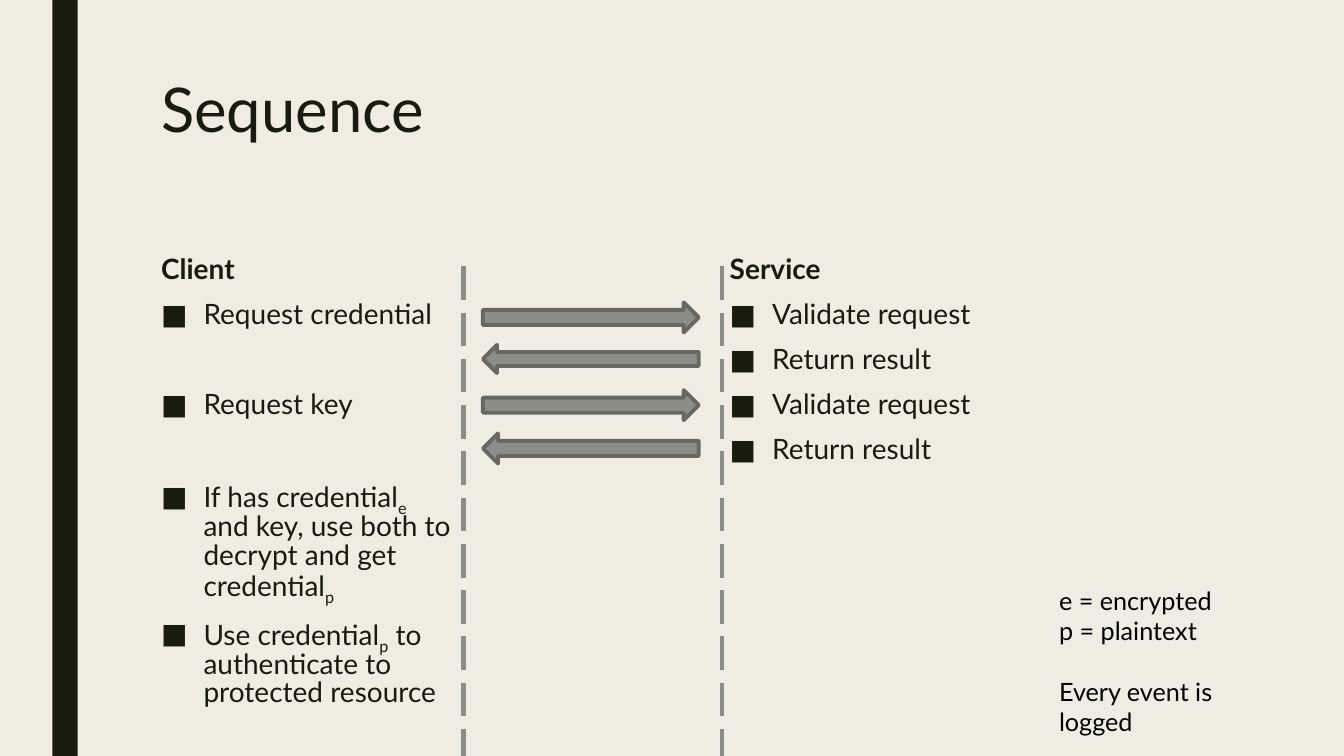
from dataclasses import dataclass

from lxml import etree
from pptx import Presentation
from pptx.dml.color import RGBColor
from pptx.enum.dml import MSO_LINE
from pptx.enum.shapes import MSO_CONNECTOR, MSO_SHAPE
from pptx.oxml.ns import qn
from pptx.util import Cm, Pt

RECTANGLE = MSO_SHAPE.RECTANGLE
RIGHT_ARROW = MSO_SHAPE.RIGHT_ARROW
STRAIGHT = MSO_CONNECTOR.STRAIGHT
LONG_DASH = MSO_LINE.LONG_DASH

BACKGROUND = RGBColor(0xEF, 0xED, 0xE3)
INK = RGBColor(0x19, 0x1B, 0x0E)
BLACK = RGBColor(0, 0, 0)
GREY = RGBColor(0x8C, 0x8D, 0x86)
DARK_GREY = RGBColor(0x68, 0x68, 0x63)

FONT = "Lato"
SLIDE_WIDTH, SLIDE_HEIGHT = 33.87, 19.05
STEP_BEFORE, STEP_AFTER = 10, 2
SKIPPED_STEP = 32.2  # height of one step row in points


@dataclass
class Run:
    text: str
    subscript: bool = False


@dataclass
class Line:
    runs: list[Run]
    size: float = 20
    color: RGBColor = INK
    bold: bool = False
    bullet: bool = False
    spacing: float = 0.84
    before: float = STEP_BEFORE
    after: float = STEP_AFTER


@dataclass
class TextBlock:
    left: float
    top: float
    width: float
    height: float
    lines: list[Line]


@dataclass
class Message:
    top: float
    height: float
    to_client: bool


def heading(text: str) -> Line:
    return Line([Run(text)], bold=True)


def step(*runs: Run, skipped: int = 0) -> Line:
    """A bulleted step, placed after a number of skipped rows."""
    return Line(list(runs), bullet=True, before=STEP_BEFORE + skipped * SKIPPED_STEP)


def note(text: str, before: float = 0) -> Line:
    return Line([Run(text)], size=18, color=BLACK, spacing=1, before=before, after=0)


TITLE = TextBlock(3.81, 1.9, 26.67, 4.11, [
    Line([Run("Sequence")], size=44, spacing=0.89, before=0, after=0),
])
CLIENT = TextBlock(3.81, 6.35, 7.87, 12.12, [
    heading("Client"),
    step(Run("Request credential")),
    step(Run("Request key"), skipped=1),
    step(Run("If has credential"), Run("e", True),
         Run(" and key, use both to decrypt and get credential"), Run("p", True),
         skipped=1),
    step(Run("Use credential"), Run("p", True),
         Run(" to authenticate to protected resource")),
])
SERVICE = TextBlock(18.14, 6.35, 12.34, 9.96, [
    heading("Service"),
    *[step(Run(text)) for text in ("Validate request", "Return result") * 2],
])
LEGEND = TextBlock(26.44, 14.63, 6.17, 3.33, [
    note("e = encrypted"),
    note("p = plaintext"),
    note("Every event is logged", before=21.6),
])
MESSAGES = [
    Message(7.62, 0.76, False),
    Message(8.69, 0.71, True),
    Message(9.83, 0.76, False),
    Message(10.92, 0.76, True),
]
LIFELINES = (11.68, 18.19)


def add_bullet(paragraph) -> None:
    properties = paragraph._p.get_or_add_pPr()
    properties.set("marL", str(Cm(1.07)))
    properties.set("indent", str(-Cm(1.07)))
    etree.SubElement(properties, qn("a:buFont")).set("typeface", FONT)
    etree.SubElement(properties, qn("a:buChar")).set("char", "■")


def add_text(slide, block: TextBlock) -> None:
    box = slide.shapes.add_textbox(
        Cm(block.left), Cm(block.top), Cm(block.width), Cm(block.height))
    frame = box.text_frame
    frame.word_wrap = True
    for index, line in enumerate(block.lines):
        paragraph = frame.add_paragraph() if index else frame.paragraphs[0]
        paragraph.line_spacing = line.spacing
        paragraph.space_before = Pt(line.before)
        paragraph.space_after = Pt(line.after)
        if line.bullet:
            add_bullet(paragraph)
        for part in line.runs:
            run = paragraph.add_run()
            run.text = part.text
            run.font.name = FONT
            run.font.size = Pt(line.size)
            run.font.bold = line.bold
            run.font.color.rgb = line.color
            if part.subscript:
                run.font._element.set("baseline", "-25000")


def add_side_bar(slide) -> None:
    bar = slide.shapes.add_shape(RECTANGLE, Cm(1.32), 0, Cm(0.64), Cm(SLIDE_HEIGHT))
    bar.shadow.inherit = False
    bar.fill.solid()
    bar.fill.fore_color.rgb = INK
    bar.line.fill.background()


def add_lifeline(slide, x: float) -> None:
    lifeline = slide.shapes.add_connector(
        STRAIGHT, Cm(x), Cm(6.71), Cm(x), Cm(SLIDE_HEIGHT))
    lifeline.line.color.rgb = GREY
    lifeline.line.width = Pt(3)
    lifeline.line.dash_style = LONG_DASH
    etree.SubElement(lifeline._element.spPr, qn("a:effectLst"))


def add_message(slide, message: Message) -> None:
    arrow = slide.shapes.add_shape(
        RIGHT_ARROW, Cm(12.17), Cm(message.top), Cm(5.44), Cm(message.height))
    arrow.rotation = 180 if message.to_client else 0
    arrow.shadow.inherit = False
    arrow.fill.solid()
    arrow.fill.fore_color.rgb = GREY
    arrow.line.color.rgb = DARK_GREY
    arrow.line.width = Pt(2.75)


def main() -> None:
    presentation = Presentation()
    presentation.slide_width = Cm(SLIDE_WIDTH)
    presentation.slide_height = Cm(SLIDE_HEIGHT)
    slide = presentation.slides.add_slide(presentation.slide_layouts[6])
    slide.background.fill.solid()
    slide.background.fill.fore_color.rgb = BACKGROUND

    # Frame and texts
    add_side_bar(slide)
    for block in (TITLE, CLIENT, SERVICE, LEGEND):
        add_text(slide, block)

    # Sequence diagram
    for x in LIFELINES:
        add_lifeline(slide, x)
    for message in MESSAGES:
        add_message(slide, message)

    presentation.save("out.pptx")


if __name__ == "__main__":
    main()
